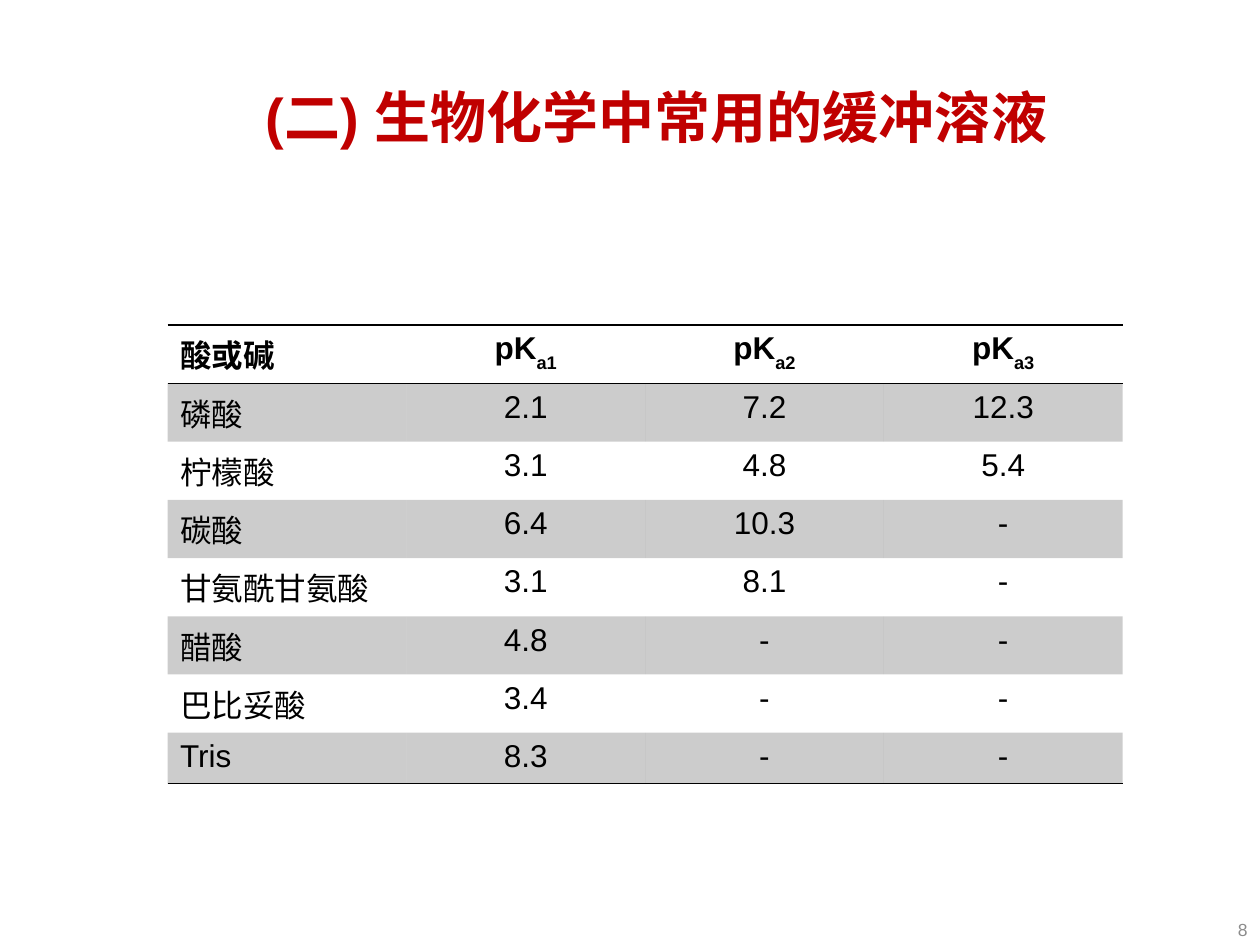
from dataclasses import dataclass

from lxml import etree
from pptx import Presentation
from pptx.dml.color import RGBColor
from pptx.enum.text import MSO_ANCHOR, PP_ALIGN
from pptx.oxml.ns import qn
from pptx.util import Inches, Pt

LEFT, CENTER, RIGHT = PP_ALIGN.LEFT, PP_ALIGN.CENTER, PP_ALIGN.RIGHT
MIDDLE = MSO_ANCHOR.MIDDLE
TITLE_ONLY = 5
NO_STYLE = "{2D5ABB26-0587-4C30-8999-92F81FD0307C}"


@dataclass(frozen=True)
class Theme:
    font: str = "Arial"
    title: str = "C00000"
    ink: str = "000000"
    muted: str = "8C8C8C"
    title_size: int = 32
    table_size: int = 18
    number_size: int = 10
    band_alpha: int = 20
    rule_width: int = 1


THEME = Theme()

TITLE = "(二) 生物化学中常用的缓冲溶液"
HEADERS = [("酸或碱", ""), ("pK", "a1"), ("pK", "a2"), ("pK", "a3")]
ACIDS = [
    ("磷酸", "2.1", "7.2", "12.3"),
    ("柠檬酸", "3.1", "4.8", "5.4"),
    ("碳酸", "6.4", "10.3", "-"),
    ("甘氨酰甘氨酸", "3.1", "8.1", "-"),
    ("醋酸", "4.8", "-", "-"),
    ("巴比妥酸", "3.4", "-", "-"),
    ("Tris", "8.3", "-", "-"),
]


def add_run(p, text, size, color, bold=False, subscript=False):
    r = p.add_run()
    r.text = text
    formats = {"name": THEME.font, "size": Pt(size), "bold": bold}
    for name, value in formats.items():
        setattr(r.font, name, value)
    r.font.color.rgb = RGBColor.from_string(color)
    if subscript:
        r.font._element.set("baseline", "-30000")


def add_color(parent, color):
    fill = etree.SubElement(parent, qn("a:solidFill"))
    return etree.SubElement(fill, qn("a:srgbClr"), val=color)


def set_borders(cell, sides):
    tc_pr = cell._tc.get_or_add_tcPr()
    for side in sides:
        width = str(Pt(THEME.rule_width))
        ln = etree.SubElement(tc_pr, qn(f"a:ln{side}"), w=width)
        add_color(ln, THEME.ink)


def set_band(cell):
    color = add_color(cell._tc.get_or_add_tcPr(), THEME.ink)
    etree.SubElement(color, qn("a:alpha"), val=str(THEME.band_alpha * 1000))


def place_title(slide, box):
    sp = slide.shapes.title
    for name, value in zip(("left", "top", "width", "height"), box):
        setattr(sp, name, value)
    tf = sp.text_frame
    tf.word_wrap = True
    tf.vertical_anchor = MIDDLE
    p = tf.paragraphs[0]
    p.alignment = LEFT
    add_run(p, TITLE, THEME.title_size, THEME.title, bold=True)


def place_table(slide, box):
    rows = [HEADERS] + [[(text, "") for text in acid] for acid in ACIDS]
    table = slide.shapes.add_table(len(rows), len(HEADERS), *box).table
    table.horz_banding = False
    table._tbl.tblPr.find(qn("a:tableStyleId")).text = NO_STYLE
    for i, row in enumerate(rows):
        sides = "TB" if i == 0 else "B" if i == len(rows) - 1 else ""
        for j, (text, sub) in enumerate(row):
            cell = table.cell(i, j)
            set_borders(cell, sides)
            if i % 2:
                set_band(cell)
            else:
                cell.fill.background()
            p = cell.text_frame.paragraphs[0]
            p.alignment = CENTER if j else LEFT
            add_run(p, text, THEME.table_size, THEME.ink, bold=i == 0)
            if sub:
                add_run(p, sub, THEME.table_size, THEME.ink, True, True)


def place_page_number(slide, box, number):
    tf = slide.shapes.add_textbox(*box).text_frame
    tf.word_wrap = True
    tf.vertical_anchor = MIDDLE
    p = tf.paragraphs[0]
    p.alignment = RIGHT
    add_run(p, str(number), THEME.number_size, THEME.muted)


def inches(*values):
    return [Inches(value) for value in values]


def main():
    prs = Presentation()
    prs.slide_width, prs.slide_height = inches(10, 7.5)
    slide = prs.slides.add_slide(prs.slide_layouts[TITLE_ONLY])
    place_title(slide, inches(2.01, 0.3, 7.49, 1.25))
    place_table(slide, inches(1.33, 2.58, 7.58, 3.24))
    place_page_number(slide, inches(7.67, 7.25, 2.33, 0.25), 8)
    prs.save("out.pptx")


if __name__ == "__main__":
    main()
